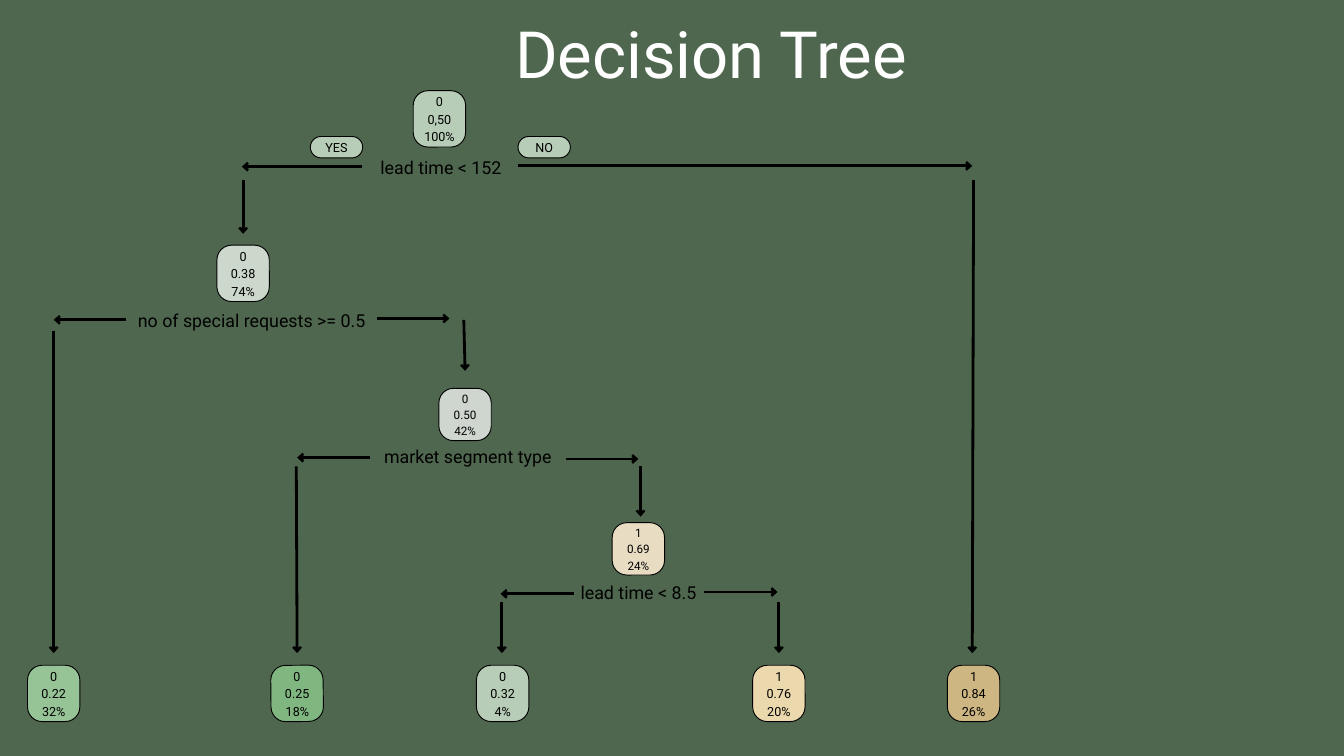
"""Build a slide showing a decision tree with its splits, branches and leaves."""
from dataclasses import dataclass

from lxml.etree import SubElement
from pptx import Presentation
from pptx.dml.color import RGBColor
from pptx.enum.shapes import MSO_CONNECTOR, MSO_SHAPE
from pptx.enum.text import MSO_ANCHOR, MSO_AUTO_SIZE, PP_ALIGN
from pptx.oxml.ns import qn
from pptx.util import Cm, Pt

COLORS = {
    "background": "4F674F", "ink": "000000", "title": "FFFFFF",
    "sage": "B7CDB7", "mist": "CBD8CB", "grey": "CFD6CF",
    "green": "97C497", "deep": "80B680", "cream": "E8DDC3",
    "sand": "EBD8AD", "tan": "CDB681",
}
FONT = "Roboto"
BOX_W, BOX_H, PILL_H, LABEL_H = 1.98, 2.13, 0.81, 0.91
TEXT_DROP, TEXT_TRIM = 0.03, 0.16
LEAF_TOP, LEAF_TIP, PILL_TOP = 25.15, 24.69, 5.16


@dataclass
class Label:
    lines: tuple
    x: float
    y: float
    w: float
    h: float = LABEL_H
    size: float = 19.1
    leading: float = 26.8
    color: str = "ink"
    rotation: float = 0


@dataclass
class Box:
    lines: tuple
    x: float
    y: float
    fill: str
    h: float = BOX_H
    size: float = 13.5
    leading: float = 18.9
    corner: float = 0.28
    rotation: float = 0


@dataclass
class Arrow:
    x1: float
    y1: float
    x2: float
    y2: float


SMALL = {"h": BOX_W, "size": 12.5, "leading": 17.5}
PILL = {"h": PILL_H, "corner": 0.5}

LABELS = [
    Label(("Decision Tree",), 10.9, 0.03, 31.95, 3.4, 69.8, 97.7, "title"),
    Label(("lead time < 152",), 14.25, 5.77, 4.83),
    Label(("no of special requests >= 0.5",), 4.9, 11.58, 9.22),
    Label(("market segment type",), 14.3, 16.71, 6.76),
    Label(("lead time < 8.5",), 21.82, 21.87, 4.62),
]
BOXES = [
    Box(("0", "0,50", "100%"), 15.62, 3.43, "sage"),
    Box(("0", "0.38", "74%"), 8.2, 9.27, "mist"),
    Box(("0", "0.50", "42%"), 16.59, 14.68, "grey", **SMALL),
    Box(("1", "0.69", "24%"), 23.14, 19.76, "cream", **SMALL),
    Box(("0", "0.22", "32%"), 1.04, LEAF_TOP, "green"),
    Box(("0", "0.25", "18%"), 10.24, LEAF_TOP, "deep", rotation=359.4),
    Box(("0", "0.32", "4%"), 18.01, LEAF_TOP, "sage"),
    Box(("1", "0.76", "20%"), 28.45, LEAF_TOP, "sand"),
    Box(("1", "0.84", "26%"), 35.81, LEAF_TOP, "tan"),
    Box(("YES",), 11.73, PILL_TOP, "sage", **PILL),
    Box(("NO",), 19.58, PILL_TOP, "sage", **PILL),
]
ARROWS = [
    Arrow(13.69, 6.3, 9.14, 6.3),
    Arrow(19.58, 6.27, 36.75, 6.27),
    Arrow(9.19, 6.81, 9.19, 8.84),
    Arrow(36.8, 6.81, 36.75, LEAF_TIP),
    Arrow(4.78, 12.09, 2.03, 12.09),
    Arrow(14.25, 12.04, 16.99, 12.04),
    Arrow(2.03, 12.52, 2.03, LEAF_TIP),
    Arrow(17.53, 12.09, 17.58, 14.02),
    Arrow(13.97, 17.3, 11.23, 17.3),
    Arrow(21.39, 17.35, 24.13, 17.35),
    Arrow(11.2, 17.63, 11.23, LEAF_TIP),
    Arrow(24.21, 17.63, 24.21, 19.53),
    Arrow(21.69, 22.45, 18.92, 22.45),
    Arrow(26.62, 22.38, 29.39, 22.38),
    Arrow(18.97, 22.76, 18.97, LEAF_TIP),
    Arrow(29.44, 22.76, 29.44, LEAF_TIP),
]


def rgb(name: str) -> RGBColor:
    return RGBColor.from_string(COLORS[name])


def apply(target, values: dict) -> None:
    for name, value in values.items():
        setattr(target, name, value)


def add_label(s, label: Label) -> None:
    sp = s.shapes.add_textbox(Cm(label.x), Cm(label.y), Cm(label.w), Cm(label.h))
    sp.rotation = label.rotation
    tf = sp.text_frame
    apply(tf, {"margin_left": 0, "margin_right": 0, "margin_top": 0,
               "margin_bottom": 0, "word_wrap": True,
               "vertical_anchor": MSO_ANCHOR.TOP,
               "auto_size": MSO_AUTO_SIZE.SHAPE_TO_FIT_TEXT})
    for i, line in enumerate(label.lines):
        p = tf.add_paragraph() if i else tf.paragraphs[0]
        apply(p, {"alignment": PP_ALIGN.CENTER, "line_spacing": Pt(label.leading)})
        r = p.add_run()
        r.text = line
        apply(r.font, {"name": FONT, "size": Pt(label.size)})
        r.font.color.rgb = rgb(label.color)


def add_box(s, box: Box) -> None:
    group = s.shapes.add_group_shape()
    sp = group.shapes.add_shape(MSO_SHAPE.ROUNDED_RECTANGLE, Cm(box.x), Cm(box.y),
                                Cm(BOX_W), Cm(box.h))
    sp.adjustments[0] = box.corner
    sp.rotation = box.rotation
    sp.shadow.inherit = False
    sp.fill.solid()
    sp.fill.fore_color.rgb = rgb(box.fill)
    sp.line.color.rgb = rgb("ink")
    sp.line.width = Pt(1)
    add_label(group, Label(box.lines, box.x, box.y + TEXT_DROP, BOX_W,
                           box.h - TEXT_TRIM, box.size, box.leading,
                           rotation=box.rotation))


def add_arrow(s, arrow: Arrow) -> None:
    sp = s.shapes.add_connector(MSO_CONNECTOR.STRAIGHT, Cm(arrow.x1), Cm(arrow.y1),
                                Cm(arrow.x2), Cm(arrow.y2))
    sp.line.color.rgb = rgb("ink")
    sp.line.width = Pt(3)
    SubElement(sp.line._get_or_add_ln(), qn("a:tailEnd"), type="arrow", w="med", len="sm")
    SubElement(sp._element.spPr, qn("a:effectLst"))


def main() -> None:
    prs = Presentation()
    apply(prs, {"slide_width": Cm(50.8), "slide_height": Cm(28.58)})
    s = prs.slides.add_slide(prs.slide_layouts[6])
    s.background.fill.solid()
    s.background.fill.fore_color.rgb = rgb("background")
    for draw, items in ((add_arrow, ARROWS), (add_label, LABELS), (add_box, BOXES)):
        for item in items:
            draw(s, item)
    prs.save("out.pptx")


if __name__ == "__main__":
    main()
